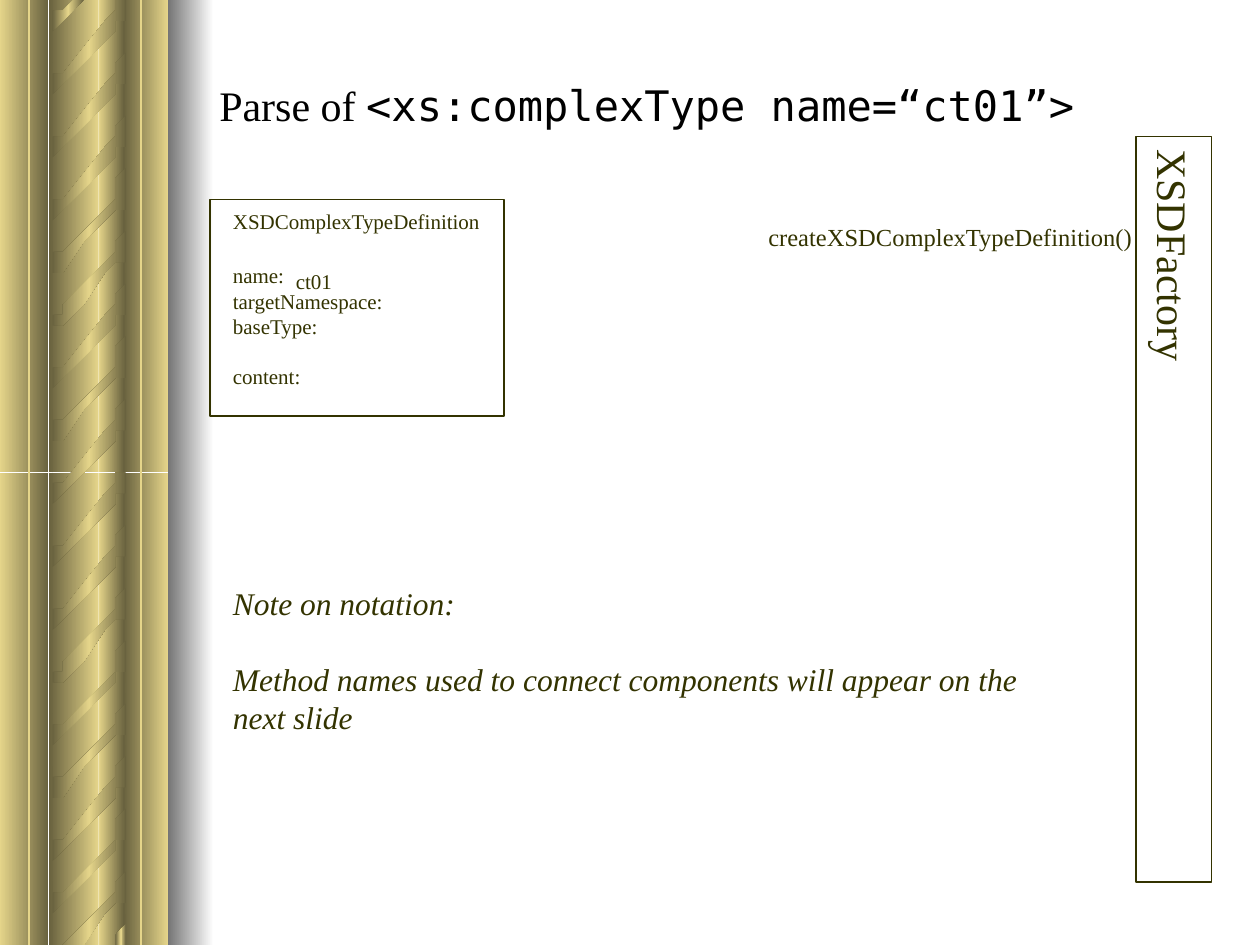
from dataclasses import dataclass
from itertools import pairwise

from lxml import etree
from pptx import Presentation
from pptx import util as u
from pptx.dml.color import RGBColor
from pptx.enum import shapes, text
from pptx.oxml.ns import qn

COLUMNS, ROWS = 120, 90
CELL = u.Inches(10) // COLUMNS


@dataclass(frozen=True)
class Theme:
    serif: str = "Times New Roman"
    mono: str = "DejaVu Sans Mono"
    ink: str = "333300"
    black: str = "000000"
    gold: str = "E5D58A"
    bronze: str = "69623F"
    white: str = "FFFFFF"
    grey: str = "757575"
    title: int = 24
    note: int = 18
    call: int = 14
    body: int = 12


THEME = Theme()

# Left column, width, colours from right to left
PILLAR_BANDS = (
    (9.4, 2.4, (THEME.bronze, THEME.gold)),
    (0, 4.6, (THEME.bronze, THEME.gold)),
    (4.7, 4.7, (THEME.gold, THEME.bronze)),
    (11.8, 4.2, (THEME.gold, THEME.bronze)),
)
STRAND_COLOURS = (THEME.bronze, THEME.gold, THEME.bronze)
# Column, rows below the top of the strand
STRAND_OUTLINE = (
    (11.8, 1.1), (11.8, 4), (11.64, 3.85), (11.16, 3.85), (10.92, 4),
    (10.56, 4.3), (9.72, 5.4), (7.68, 7.55), (5.64, 9.85), (5.28, 10.45),
    (4.92, 11.15), (4.8, 12.1), (4.7, 13.45), (4.7, 7.55), (4.7, 8.15),
    (4.8, 8.4), (5.04, 8.5), (5.28, 8.5), (5.52, 8.5), (5.88, 8.4),
    (9.96, 4), (10.8, 2.9), (11.16, 2.3), (11.4, 1.7), (11.64, 0.7),
    (11.8, 0), (11.8, 2.4),
)
# First row of each pillar half, tops of its strands
PILLAR_HALVES = (
    (45, (55, 60.6, 65.9, 71.3, 76.6, 82, 49.3, 43.4)),
    (0, (10.3, 15.7, 21, 26.4, 31.7, 87, 4.4, -1.6, -7.4, 37.4)),
)


def cells(*counts):
    return [u.Emu(round(count * CELL)) for count in counts]


def rgb(colour):
    return RGBColor.from_string(colour)


def paint_gradient(shape, colours):
    """Blend the colours evenly from right to left, without an outline."""
    shape.shadow.inherit = False
    shape.line.fill.background()
    shape.fill.gradient()
    shape.fill.gradient_angle = 180
    stops = shape._element.spPr.find(qn("a:gradFill")).find(qn("a:gsLst"))
    for stop in list(stops):
        stops.remove(stop)
    for index, colour in enumerate(colours):
        position = 100000 * index // (len(colours) - 1)
        stop = etree.SubElement(stops, qn("a:gs"), pos=str(position))
        etree.SubElement(stop, qn("a:srgbClr"), val=colour)


def add_band(slide, left, top, width, height, colours):
    band = slide.shapes.add_shape(
        shapes.MSO_SHAPE.RECTANGLE, *cells(left, top, width, height))
    paint_gradient(band, colours)


def clip(points, limit, sign):
    """Keep the part of a polygon where sign * (row - limit) >= 0."""
    kept = []
    for (x1, y1), (x2, y2) in pairwise([points[-1], *points]):
        inside_before = sign * (y1 - limit) >= 0
        inside_now = sign * (y2 - limit) >= 0
        if inside_before != inside_now:
            kept.append((x1 + (x2 - x1) * (limit - y1) / (y2 - y1), limit))
        if inside_now:
            kept.append((x2, y2))
    return kept


def add_strand(slide, top, first_row):
    points = [(column, top + row) for column, row in STRAND_OUTLINE]
    points = clip(clip(points, first_row, 1), ROWS, -1)
    builder = slide.shapes.build_freeform(*points[0], scale=CELL)
    builder.add_line_segments(points[1:], close=True)
    paint_gradient(builder.convert_to_shape(), STRAND_COLOURS)


def add_groove(slide, column):
    x, top, bottom = cells(column, 0, ROWS)
    groove = slide.shapes.add_connector(
        shapes.MSO_CONNECTOR.STRAIGHT, x, top, x, bottom)
    groove.line.color.rgb = rgb(THEME.gold)
    groove.line.width = u.Pt(1)
    etree.SubElement(groove._element.spPr, qn("a:effectLst"))


def add_pillar(slide):
    for first_row, strand_tops in PILLAR_HALVES:
        for left, width, colours in PILLAR_BANDS:
            add_band(slide, left, first_row, width, ROWS / 2, colours)
        for top in strand_tops:
            add_strand(slide, top, first_row)
    add_band(slide, 16, 0, 4.35, ROWS, (THEME.white, THEME.grey))
    for column in (2.75, 13.45):
        add_groove(slide, column)


def add_run(paragraph, words, size, **format_values):
    run = paragraph.add_run()
    run.text = words
    values = {"name": THEME.serif, "size": u.Pt(size)} | format_values
    colour = values.pop("colour", THEME.ink)
    for name, value in values.items():
        setattr(run.font, name, value)
    run.font.color.rgb = rgb(colour)


def add_text(slide, area, lines, size, gap=0, wrap=True, **format_values):
    """Add one paragraph per line, with a gap in points after the first."""
    frame = slide.shapes.add_textbox(*cells(*area)).text_frame
    frame.word_wrap = wrap
    for index, line in enumerate(lines):
        paragraph = frame.paragraphs[0] if index == 0 else frame.add_paragraph()
        if index == 1:
            paragraph.space_before = u.Pt(gap)
        add_run(paragraph, line, size, **format_values)
    return frame


def add_outline(slide, area):
    box = slide.shapes.add_shape(shapes.MSO_SHAPE.RECTANGLE, *cells(*area))
    box.shadow.inherit = False
    box.fill.background()
    box.line.color.rgb = rgb(THEME.ink)
    box.line.width = u.Pt(1)
    return box


def add_title(slide):
    frame = add_text(slide, (19.7, 6, 98.3, 8), ["Parse of "], THEME.title,
                     colour=THEME.black)
    frame.vertical_anchor = text.MSO_ANCHOR.MIDDLE
    add_run(frame.paragraphs[0], "<xs:complexType name=“ct01”>", THEME.title,
            name=THEME.mono, colour=THEME.black)


def add_factory(slide):
    frame = add_outline(slide, (108.2, 13, 7.2, 71)).text_frame
    frame._txBody.bodyPr.set("vert", "eaVert")
    narrow, wide = u.Inches(0.05), u.Inches(0.1)
    settings = {
        "margin_left": narrow, "margin_right": narrow,
        "margin_top": wide, "margin_bottom": wide,
        "vertical_anchor": text.MSO_ANCHOR.MIDDLE,
    }
    for name, value in settings.items():
        setattr(frame, name, value)
    paragraph = frame.paragraphs[0]
    paragraph.alignment = text.PP_ALIGN.CENTER
    add_run(paragraph, "XSDFactory", THEME.title)


def main():
    presentation = Presentation()
    presentation.slide_width, presentation.slide_height = cells(COLUMNS, ROWS)
    slide = presentation.slides.add_slide(presentation.slide_layouts[6])
    add_pillar(slide)
    add_title(slide)
    add_text(slide, (21, 19.3, 26, 13.7),
             ["XSDComplexTypeDefinition", "name:", "targetNamespace:", "baseType:"],
             THEME.body, gap=16.5, wrap=False)
    add_factory(slide)
    add_text(slide, (27, 25, 6.5, 3.6), ["ct01"], THEME.body)
    add_text(slide, (21, 34, 26, 3.6), ["content:"], THEME.body)
    add_text(slide, (21, 55, 81.2, 15.6),
             ["Note on notation:",
              "Method names used to connect components will appear on the",
              "next slide"],
             THEME.note, gap=22, italic=True)
    add_text(slide, (72, 20.6, 37.2, 4.1), ["createXSDComplexTypeDefinition()"],
             THEME.call, wrap=False)
    add_outline(slide, (20, 19, 28, 20.6))
    presentation.save("out.pptx")


if __name__ == "__main__":
    main()
